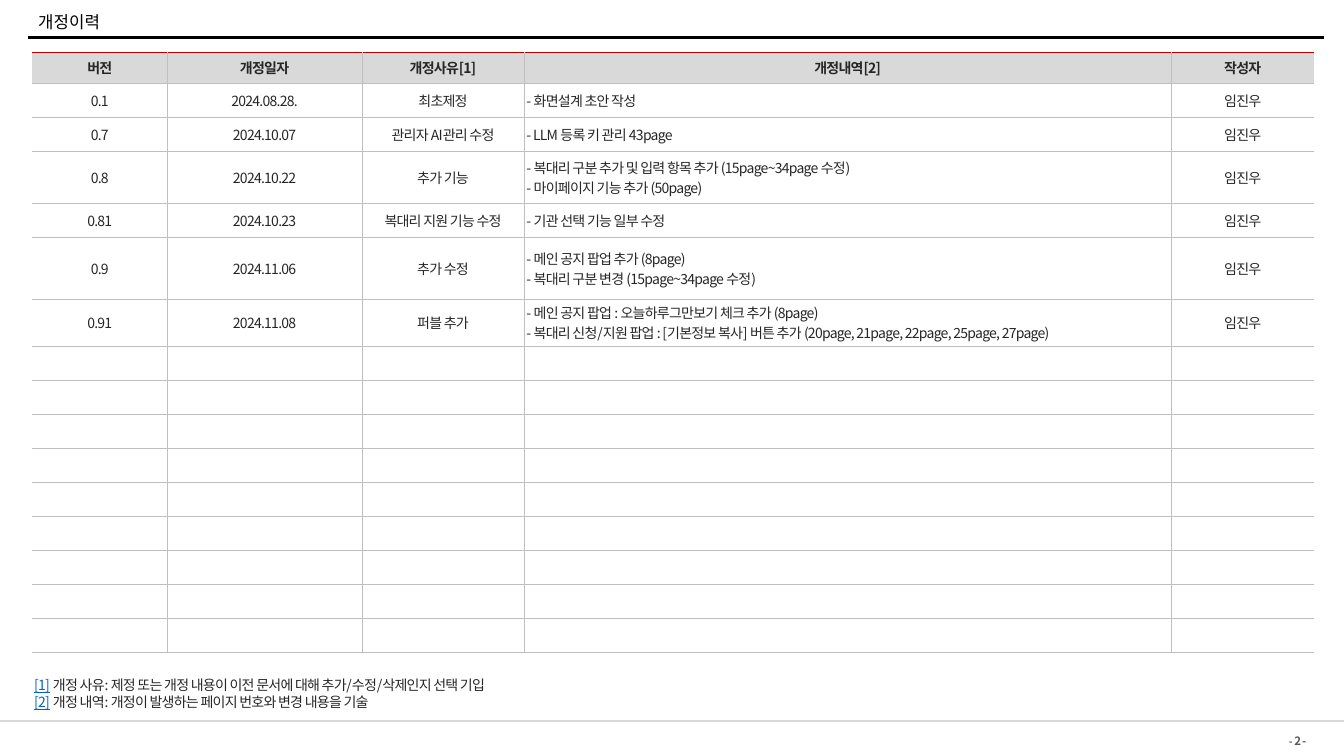
from lxml.etree import SubElement
from pptx import Presentation
from pptx.dml.color import RGBColor
from pptx.enum.shapes import MSO_CONNECTOR
from pptx.enum.text import MSO_ANCHOR, PP_ALIGN
from pptx.oxml import parse_xml
from pptx.oxml.ns import nsdecls, qn
from pptx.util import Pt

FONT = "Noto Sans CJK KR"
BLACK, DARK, MUTED = "000000", "262626", "595959"
WHITE, HEADER_GREY, BORDER_GREY = "FFFFFF", "D9D9D9", "BFBFBF"
RED, LINK_BLUE = "C00000", "0563C1"
TIGHT = -0.5

COLUMN_WIDTHS = [96.5, 139, 115.9, 462.2, 102.2]
ROW_HEIGHTS = [22, 24.3, 24.3, 37.4, 24.3, 43.8, 34] + [24.3] * 9
HEADINGS = ["버전", "개정일자", "개정사유[1]", "개정내역[2]", "작성자"]
DETAIL_COLUMN = HEADINGS.index("개정내역[2]")
AUTHOR = "임진우"
REVISIONS = [
    ("0.1", "2024.08.28.", "최초제정", " - 화면설계 초안 작성"),
    ("0.7", "2024.10.07", "관리자 AI관리 수정", " - LLM 등록 키 관리 43page"),
    ("0.8", "2024.10.22", "추가 기능",
     " - 복대리 구분 추가 및 입력 항목 추가 (15page~34page 수정)\n"
     " - 마이페이지 기능 추가 (50page)"),
    ("0.81", "2024.10.23", "복대리 지원 기능 수정", " - 기관 선택 기능 일부 수정"),
    ("0.9", "2024.11.06", "추가 수정",
     " - 메인 공지 팝업 추가 (8page)\n"
     " - 복대리 구분 변경 (15page~34page 수정)"),
    ("0.91", "2024.11.08", "퍼블 추가",
     " - 메인 공지 팝업 : 오늘하루그만보기 체크 추가 (8page)\n"
     " - 복대리 신청/지원 팝업 : [기본정보 복사] 버튼 추가 "
     "(20page, 21page, 22page, 25page, 27page)"),
]
FOOTNOTES = [
    ("[1]", "개정 사유: 제정 또는 개정 내용이 이전 문서에 대해 추가/수정/삭제인지 선택 기입"),
    ("[2]", "개정 내역: 개정이 발생하는 페이지 번호와 변경 내용을 기술"),
]


def color(hex_value):
    """Return the colour for a hex string."""
    return RGBColor.from_string(hex_value)


def style_run(run, size, hex_value, bold=False, underline=False, spacing=0):
    """Set font, size, colour and character spacing of a run."""
    font = run.font
    font.name, font.size = FONT, Pt(size)
    font.bold, font.underline = bold, underline
    font.color.rgb = color(hex_value)
    properties = run._r.get_or_add_rPr()
    SubElement(properties, qn("a:ea"), typeface=FONT)
    if spacing:
        properties.set("spc", str(int(spacing * 100)))


def add_rule(slide, left, right, y, hex_value, width):
    """Draw a horizontal line without a shadow."""
    rule = slide.shapes.add_connector(
        MSO_CONNECTOR.STRAIGHT, Pt(left), Pt(y), Pt(right), Pt(y))
    rule.line.color.rgb = color(hex_value)
    rule.line.width = Pt(width)
    SubElement(rule._element.spPr, qn("a:effectLst"))


def add_label(slide, box, paragraphs, align=PP_ALIGN.LEFT, wrap=True, line_spacing=1.0):
    """Add a text box; each paragraph is a list of (text, run style) pairs."""
    frame = slide.shapes.add_textbox(*map(Pt, box)).text_frame
    frame.word_wrap = wrap
    frame.vertical_anchor = MSO_ANCHOR.MIDDLE
    for index, pieces in enumerate(paragraphs):
        paragraph = frame.add_paragraph() if index else frame.paragraphs[0]
        paragraph.alignment = align
        paragraph.line_spacing = line_spacing
        for text, style in pieces:
            run = paragraph.add_run()
            run.text = text
            style_run(run, **style)


def set_borders(cell, edges):
    """Set cell borders from (side, colour, width); no colour hides the edge."""
    properties = cell._tc.get_or_add_tcPr()
    for position, (side, hex_value, width) in enumerate(edges):
        paint = (f'<a:solidFill><a:srgbClr val="{hex_value}"/></a:solidFill>'
                 if hex_value else "<a:noFill/>")
        properties.insert(position, parse_xml(
            f'<a:ln{side} {nsdecls("a")} w="{Pt(width)}">{paint}</a:ln{side}>'))


def fill_cell(cell, text, is_header, align):
    """Write and format one table cell."""
    cell.margin_left = cell.margin_right = 0
    cell.margin_top = cell.margin_bottom = Pt(3.6 if is_header else 0)
    cell.vertical_anchor = MSO_ANCHOR.MIDDLE
    cell.fill.solid()
    cell.fill.fore_color.rgb = color(HEADER_GREY if is_header else WHITE)
    cell.text_frame.text = text
    for paragraph in cell.text_frame.paragraphs:
        paragraph.alignment = align
        for run in paragraph.runs:
            style_run(run, 10, DARK, bold=is_header, spacing=TIGHT)
        if not text:
            SubElement(paragraph._p, qn("a:endParaRPr"), sz="1000")


def add_revision_table(slide):
    """Add the revision history with its empty rows."""
    row_count, column_count = len(ROW_HEIGHTS), len(COLUMN_WIDTHS)
    table = slide.shapes.add_table(
        row_count, column_count, Pt(23), Pt(37.4),
        Pt(sum(COLUMN_WIDTHS)), Pt(sum(ROW_HEIGHTS))).table
    table.first_row = table.horz_banding = False
    for column, width in zip(table.columns, COLUMN_WIDTHS):
        column.width = Pt(width)
    for row, height in zip(table.rows, ROW_HEIGHTS):
        row.height = Pt(height)

    entries = [HEADINGS] + [[*revision, AUTHOR] for revision in REVISIONS]
    entries += [[""] * column_count] * (row_count - len(entries))
    for r, entry in enumerate(entries):
        for c, text in enumerate(entry):
            is_header = r == 0
            is_detail = c == DETAIL_COLUMN and not is_header
            cell = table.cell(r, c)
            fill_cell(cell, text, is_header,
                      PP_ALIGN.LEFT if is_detail else PP_ALIGN.CENTER)
            set_borders(cell, [
                ("L", BORDER_GREY if c else None, 0.5),
                ("R", BORDER_GREY if c < column_count - 1 else None, 0.5),
                ("T", RED if is_header else BORDER_GREY, 1 if is_header else 0.5),
                ("B", BORDER_GREY, 0.5),
            ])


def add_footnotes(slide):
    """Add the notes that explain the numbered headings."""
    base = {"size": 10, "spacing": TIGHT}
    add_label(slide, (17.3, 479.5, 376.6, 31.7), [
        [(mark, {**base, "hex_value": LINK_BLUE, "underline": True}),
         (" ", {**base, "hex_value": RED}),
         (note, {**base, "hex_value": DARK})]
        for mark, note in FOOTNOTES], wrap=False)


def main():
    """Build the revision history slide."""
    deck = Presentation()
    deck.slide_width, deck.slide_height = Pt(960), Pt(540)
    slide = deck.slides.add_slide(deck.slide_layouts[6])

    add_rule(slide, 20.2, 945.4, 26.6, BLACK, 2.25)
    add_rule(slide, 0, 960, 514.8, HEADER_GREY, 1.5)
    page_style = {"hex_value": MUTED, "bold": True, "spacing": TIGHT}
    add_label(slide, (748.8, 522, 191.5, 15.1),
              [[("- ", {**page_style, "size": 7.3}), ("2 -", {**page_style, "size": 8.2})]],
              align=PP_ALIGN.RIGHT)
    add_label(slide, (20.2, 6.5, 726.5, 20.2),
              [[("개정이력", {"size": 12, "hex_value": BLACK})]], line_spacing=0.9)
    add_revision_table(slide)
    add_footnotes(slide)
    deck.save("out.pptx")


if __name__ == "__main__":
    main()
